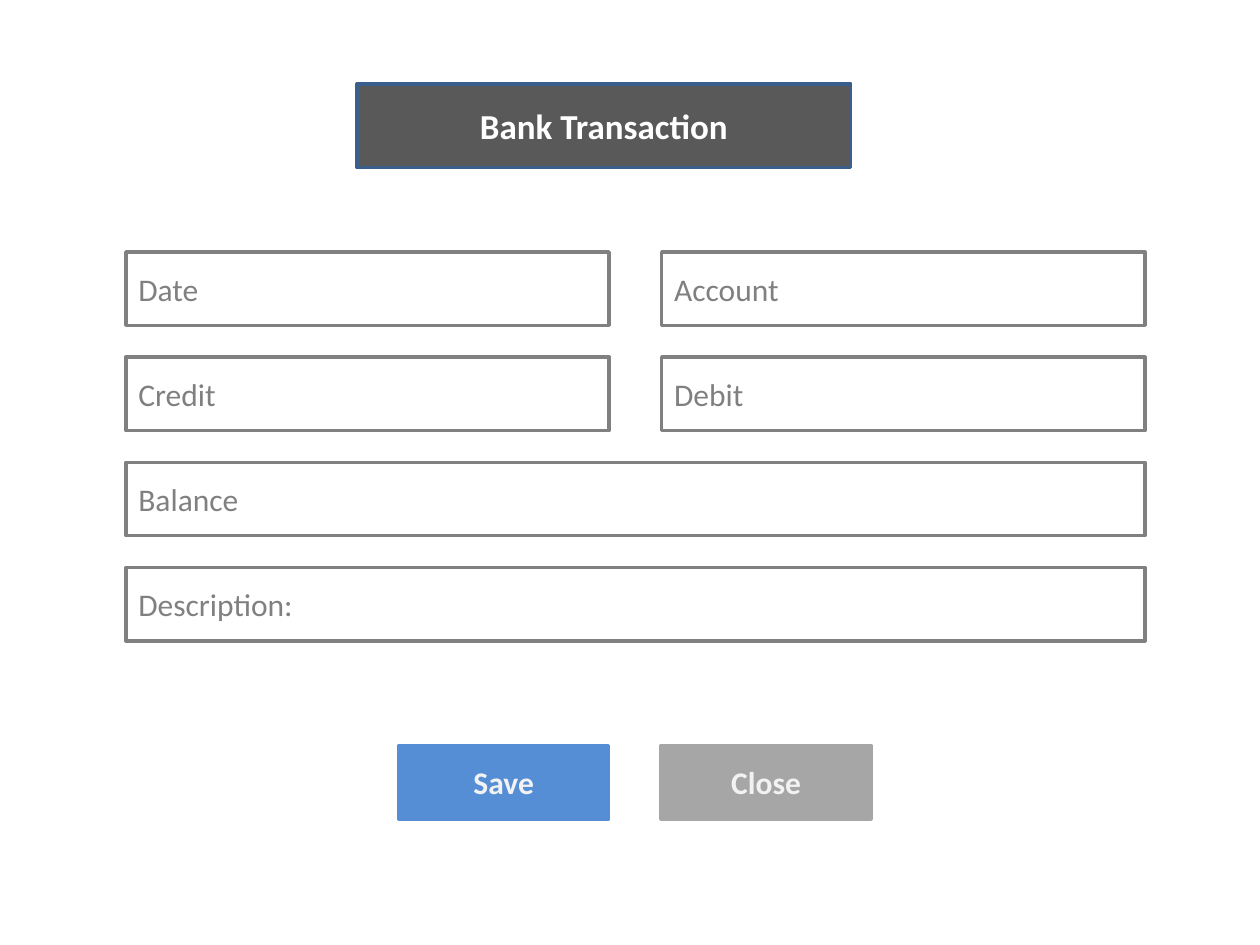
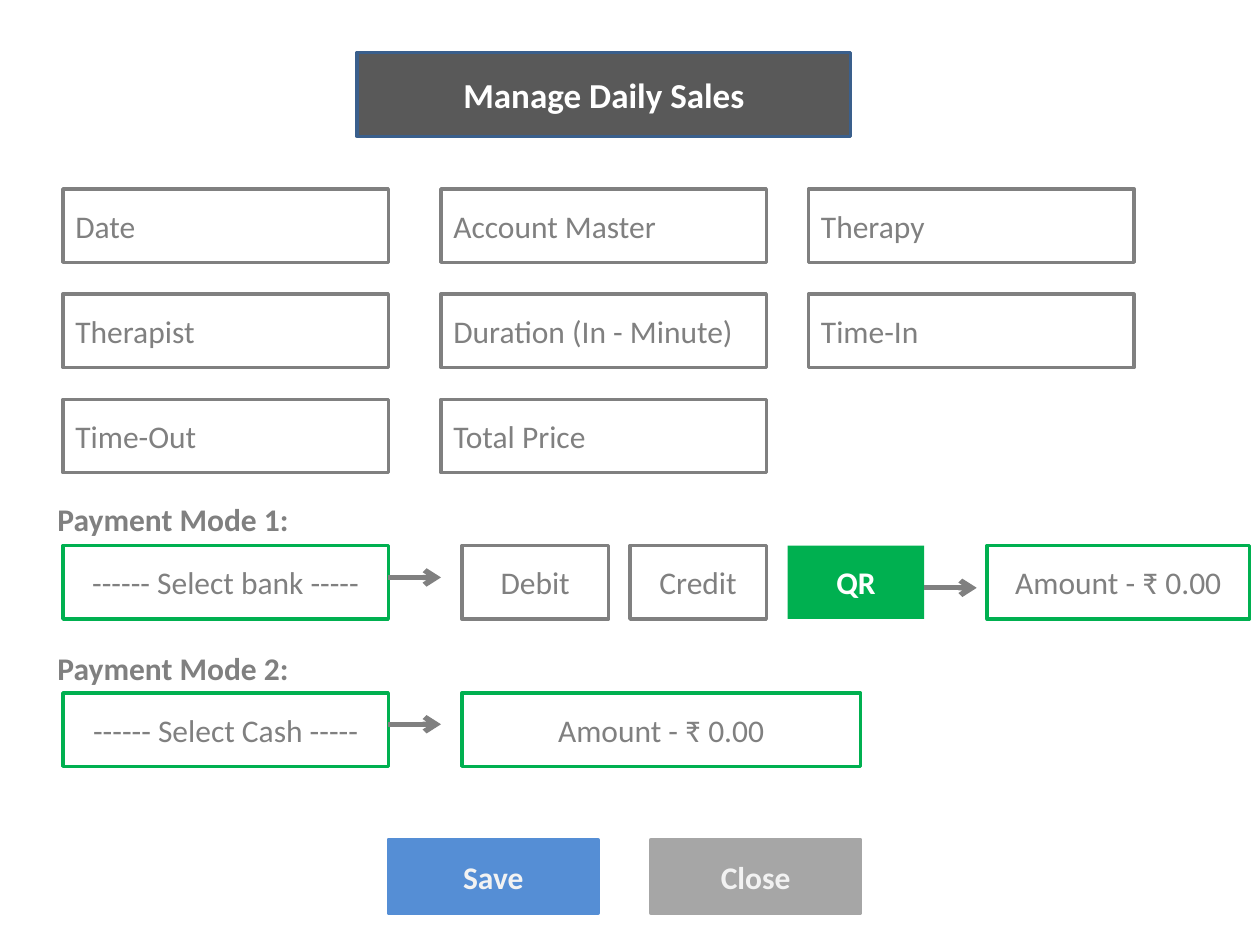
"""Build the wireframes of the bank transaction and daily sales forms."""
from dataclasses import dataclass

from lxml import etree
from pptx import Presentation
from pptx.dml.color import RGBColor
from pptx.enum.shapes import MSO_CONNECTOR, MSO_SHAPE
from pptx.enum.text import MSO_ANCHOR, MSO_AUTO_SIZE, PP_ALIGN
from pptx.oxml.ns import qn
from pptx.presentation import Presentation as PresentationType
from pptx.shapes.base import BaseShape
from pptx.slide import Slide
from pptx.text.text import TextFrame
from pptx.util import Cm, Pt

RECTANGLE = MSO_SHAPE.RECTANGLE
STRAIGHT = MSO_CONNECTOR.STRAIGHT
MIDDLE = MSO_ANCHOR.MIDDLE
NO_AUTO_SIZE = MSO_AUTO_SIZE.NONE
LEFT, CENTER = PP_ALIGN.LEFT, PP_ALIGN.CENTER

WHITE = RGBColor(0xFF, 0xFF, 0xFF)
GRAY = RGBColor(0x80, 0x80, 0x80)
TITLE_GRAY = RGBColor(0x59, 0x59, 0x59)
TITLE_BORDER = RGBColor(0x3A, 0x5F, 0x8C)
GREEN = RGBColor(0x00, 0xB0, 0x50)
SAVE_BLUE = RGBColor(0x55, 0x8E, 0xD5)
CLOSE_GRAY = RGBColor(0xA6, 0xA6, 0xA6)
BUTTON_TEXT = RGBColor(0xF2, 0xF2, 0xF2)

FONT_NAME = "Calibri"
TITLE_ONLY_LAYOUT = 5
BOX_HEIGHT = 1.48
ROW_PITCH = 2.12
BUTTON_WIDTH = 4.23
BUTTON_PITCH = 5.29


@dataclass(frozen=True)
class BoxStyle:
    """Colours and text setting of a box."""
    fill: RGBColor
    line: RGBColor | None
    text: RGBColor
    bold: bool = False
    alignment: PP_ALIGN = CENTER
    size: int = 18


@dataclass(frozen=True)
class Box:
    """A labelled rectangle, measured in centimetres."""
    text: str
    left: float
    top: float
    width: float
    style: BoxStyle


@dataclass(frozen=True)
class Arrow:
    """A horizontal arrow, measured in centimetres."""
    left: float
    right: float
    top: float


TITLE = BoxStyle(TITLE_GRAY, TITLE_BORDER, WHITE, bold=True, size=20)
FIELD = BoxStyle(WHITE, GRAY, GRAY, alignment=LEFT)
OPTION = BoxStyle(WHITE, GRAY, GRAY)
ACTIVE = BoxStyle(WHITE, GREEN, GRAY)
CHOSEN = BoxStyle(GREEN, None, WHITE, bold=True)
SAVE = BoxStyle(SAVE_BLUE, SAVE_BLUE, BUTTON_TEXT, bold=True)
CLOSE = BoxStyle(CLOSE_GRAY, CLOSE_GRAY, BUTTON_TEXT, bold=True)

HALF_COLUMNS = (2.54, 13.34)
HALF_WIDTH = 9.74
FULL_WIDTH = HALF_COLUMNS[1] + HALF_WIDTH - HALF_COLUMNS[0]
TRANSACTION_TOP = 5.08
HALF_FIELDS = ("Date", "Account", "Credit", "Debit")
FULL_FIELDS = ("Balance", "Description:")

SALES_COLUMNS = (1.27, 8.89, 16.3)
SALES_WIDTH = 6.56
SALES_TOP = 3.81
SALES_FIELDS = ("Date", "Account Master", "Therapy", "Therapist",
                "Duration (In - Minute)", "Time-In", "Time-Out", "Total Price")

BANK_TOP, CASH_TOP = 11.0, 13.97
CHOICE_LEFT = 9.31
AMOUNT = "Amount - ₹ 0.00"
PAYMENT_BOXES = (
    Box("------ Select bank -----", SALES_COLUMNS[0], BANK_TOP, SALES_WIDTH, ACTIVE),
    Box("Debit", CHOICE_LEFT, BANK_TOP, 2.96, OPTION),
    Box("Credit", 12.7, BANK_TOP, 2.75, OPTION),
    Box("QR", 15.88, BANK_TOP, 2.75, CHOSEN),
    Box(AMOUNT, 19.9, BANK_TOP, 5.29, ACTIVE),
    Box("------ Select Cash -----", SALES_COLUMNS[0], CASH_TOP, SALES_WIDTH, ACTIVE),
    Box(AMOUNT, CHOICE_LEFT, CASH_TOP, 8.04, ACTIVE),
)
PAYMENT_LABELS = (("Payment Mode 1:", 9.95), ("Payment Mode 2:", 12.95))
PAYMENT_ARROWS = (Arrow(7.83, 8.89, 11.64), Arrow(18.63, 19.69, 11.85),
                  Arrow(7.83, 8.89, 14.6))


def write_text(frame: TextFrame, text: str, style: BoxStyle) -> None:
    """Write one paragraph in the given style."""
    frame.text = text
    paragraph = frame.paragraphs[0]
    paragraph.alignment = style.alignment
    font = paragraph.font
    font.name = FONT_NAME
    font.size = Pt(style.size)
    font.bold = style.bold
    font.color.rgb = style.text


def format_box(shape: BaseShape, text: str, style: BoxStyle) -> None:
    """Give a shape its fill, border and text."""
    shape.fill.solid()
    shape.fill.fore_color.rgb = style.fill
    if style.line is None:
        shape.line.fill.background()
    else:
        shape.line.color.rgb = style.line
        shape.line.width = Pt(2)
    shape.text_frame.vertical_anchor = MIDDLE
    write_text(shape.text_frame, text, style)


def add_box(slide: Slide, box: Box) -> None:
    """Draw a labelled rectangle."""
    shape = slide.shapes.add_shape(RECTANGLE, Cm(box.left), Cm(box.top),
                                   Cm(box.width), Cm(BOX_HEIGHT))
    shape.shadow.inherit = False
    format_box(shape, box.text, box.style)


def add_field_grid(slide: Slide, fields: tuple[str, ...], columns: tuple[float, ...],
                   top: float, width: float) -> None:
    """Lay out input fields row by row."""
    for index, field in enumerate(fields):
        row, column = divmod(index, len(columns))
        add_box(slide, Box(field, columns[column], top + row * ROW_PITCH, width, FIELD))


def add_buttons(slide: Slide, left: float, top: float) -> None:
    """Draw the Save and Close buttons."""
    add_box(slide, Box("Save", left, top, BUTTON_WIDTH, SAVE))
    add_box(slide, Box("Close", left + BUTTON_PITCH, top, BUTTON_WIDTH, CLOSE))


def add_label(slide: Slide, text: str, top: float) -> None:
    """Write a bold heading above a payment row."""
    label = slide.shapes.add_textbox(Cm(0.91), Cm(top), Cm(5.21), Cm(1.02))
    write_text(label.text_frame, text, BoxStyle(WHITE, None, GRAY, bold=True, alignment=LEFT))


def add_arrow(slide: Slide, arrow: Arrow) -> None:
    """Draw a gray arrow pointing right."""
    connector = slide.shapes.add_connector(STRAIGHT, Cm(arrow.left), Cm(arrow.top),
                                           Cm(arrow.right), Cm(arrow.top))
    connector.line.color.rgb = GRAY
    connector.line.width = Pt(3)
    etree.SubElement(connector.line._get_or_add_ln(), qn("a:tailEnd"), type="arrow")
    etree.SubElement(connector._element.spPr, qn("a:effectLst"))


def add_form_slide(presentation: PresentationType, title: str, top: float) -> Slide:
    """Add a slide with its title band."""
    slide = presentation.slides.add_slide(presentation.slide_layouts[TITLE_ONLY_LAYOUT])
    shape = slide.shapes.title
    shape.left, shape.top, shape.width, shape.height = Cm(7.2), Cm(top), Cm(9.95), Cm(1.69)
    shape.text_frame.auto_size = NO_AUTO_SIZE
    format_box(shape, title, TITLE)
    return slide


def build_transaction_slide(presentation: PresentationType) -> None:
    """Build the bank transaction form."""
    slide = add_form_slide(presentation, "Bank Transaction", 1.69)
    add_field_grid(slide, HALF_FIELDS, HALF_COLUMNS, TRANSACTION_TOP, HALF_WIDTH)
    add_field_grid(slide, FULL_FIELDS, HALF_COLUMNS[:1],
                   TRANSACTION_TOP + 2 * ROW_PITCH, FULL_WIDTH)
    add_buttons(slide, 8.04, 15.03)


def build_sales_slide(presentation: PresentationType) -> None:
    """Build the daily sales form."""
    slide = add_form_slide(presentation, "Manage Daily Sales", 1.06)
    add_field_grid(slide, SALES_FIELDS, SALES_COLUMNS, SALES_TOP, SALES_WIDTH)
    for box in PAYMENT_BOXES:
        add_box(slide, box)
    for text, top in PAYMENT_LABELS:
        add_label(slide, text, top)
    for arrow in PAYMENT_ARROWS:
        add_arrow(slide, arrow)
    add_buttons(slide, 7.83, 16.93)


def main() -> None:
    """Build and save the presentation."""
    presentation = Presentation()
    presentation.slide_width, presentation.slide_height = Cm(25.4), Cm(19.05)
    build_transaction_slide(presentation)
    build_sales_slide(presentation)
    presentation.save("out.pptx")


if __name__ == "__main__":
    main()
